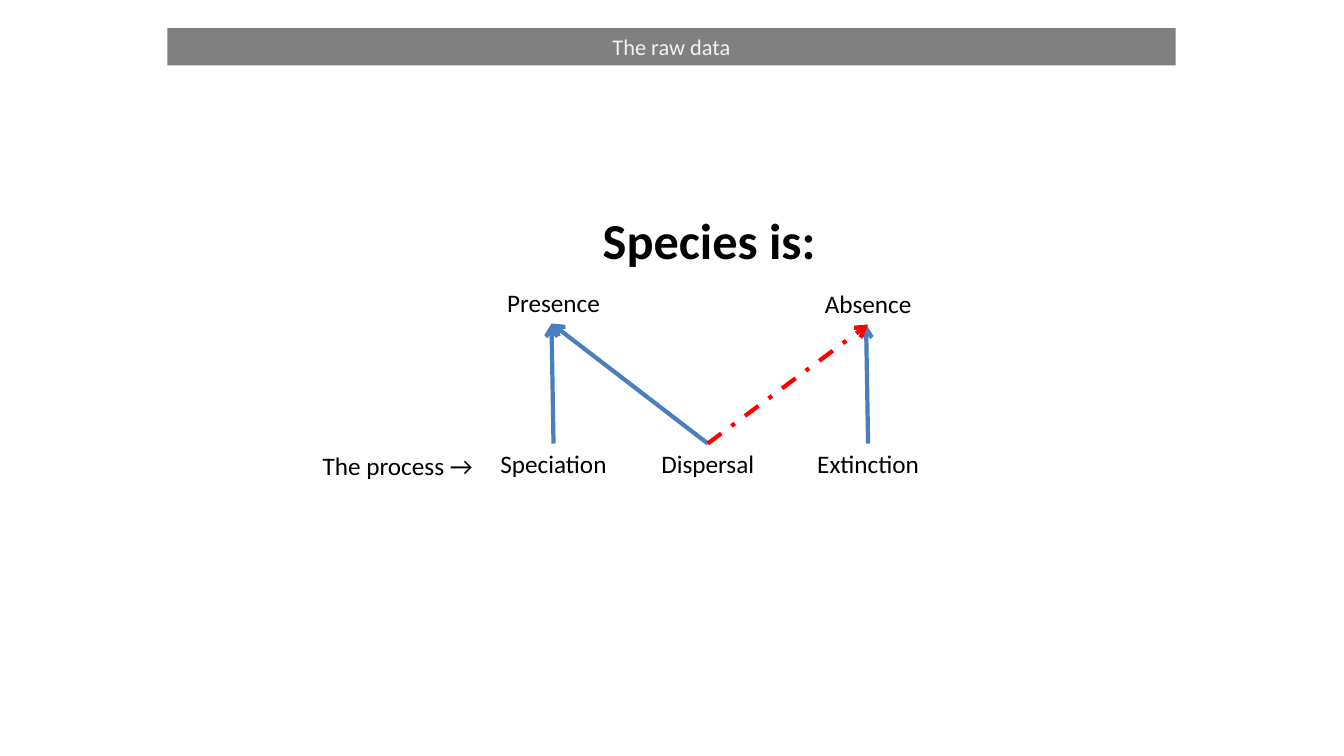
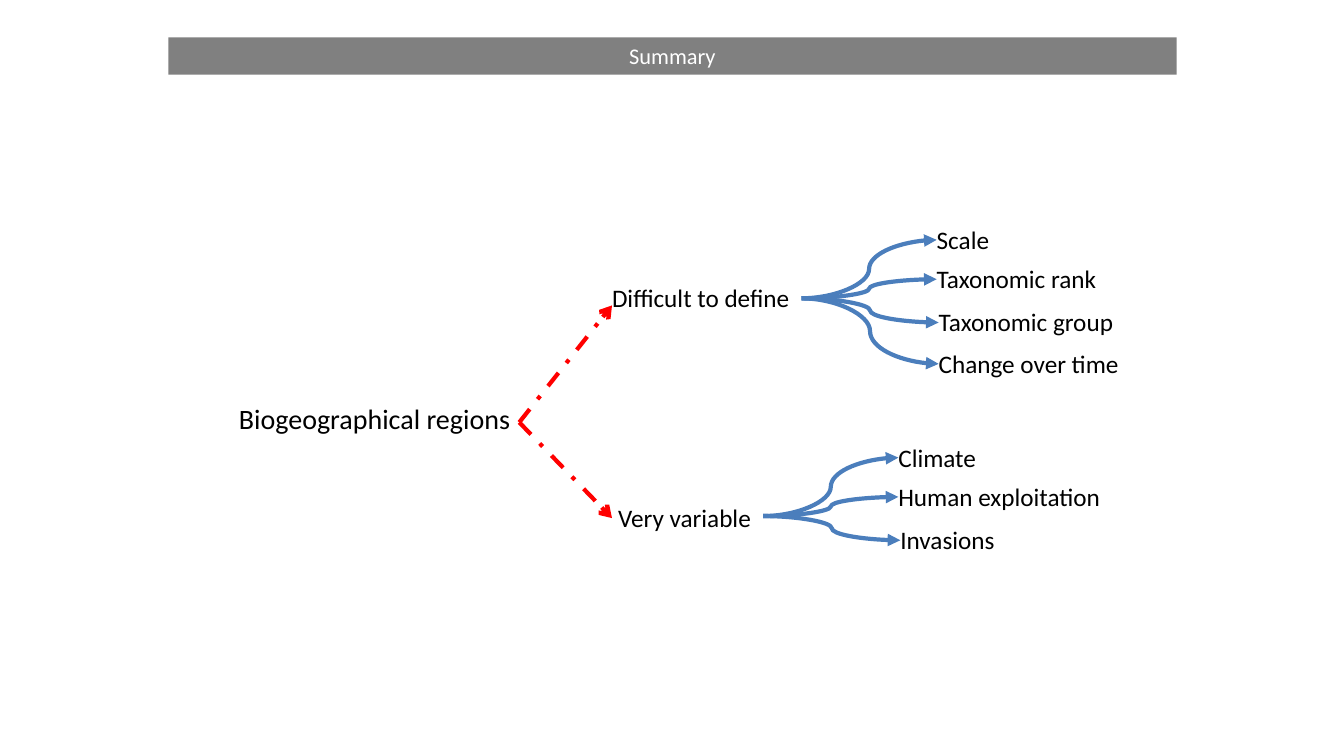
"""Build two slides on species processes and biogeographical regions."""
import pptx
import pptx.dml.color
import pptx.enum.dml
import pptx.enum.shapes
import pptx.enum.text
import pptx.oxml.ns
import pptx.util
from lxml import etree
from pptx.util import Inches

FONT = "Calibri"
BLACK, WHITE, PALE, GRAY = "000000", "FFFFFF", "F2F2F2", "808080"
BLUE, RED = "4B7EBC", "FF0000"
ALIGN = pptx.enum.text.PP_ALIGN
ANCHOR = pptx.enum.text.MSO_ANCHOR
CONNECTOR = pptx.enum.shapes.MSO_CONNECTOR
NODE_HEIGHT = 0.64
LEAF_OFFSETS = [(1.34, -0.58), (1.34, -0.19), (1.36, 0.24), (1.36, 0.65)]


def rgb(value):
    """Turn a hex string into a colour."""
    return pptx.dml.color.RGBColor.from_string(value)


def write(shape, text, size, color=BLACK, align=ALIGN.CENTER, bold=False):
    """Set the single paragraph of a shape and return it."""
    paragraph = shape.text_frame.paragraphs[0]
    paragraph.text = text
    paragraph.alignment = align
    font = paragraph.font
    font.name, font.size, font.bold = FONT, pptx.util.Pt(size), bold
    font.color.rgb = rgb(color)
    return paragraph


def add_band(slide, title, left, top, color):
    """Add the gray title band."""
    band = slide.shapes.add_shape(
        pptx.enum.shapes.MSO_SHAPE.RECTANGLE,
        Inches(left), Inches(top), Inches(10), Inches(0.37))
    band.shadow.inherit = False
    band.fill.solid()
    band.fill.fore_color.rgb = rgb(GRAY)
    band.line.fill.background()
    write(band, title, 16, color)


def add_label(slide, text, left, top, width, height=0.4, size=18,
              align=ALIGN.CENTER, anchor=ANCHOR.TOP, bold=False, wrap=False):
    """Add a text label with standard margins."""
    label = slide.shapes.add_textbox(
        Inches(left), Inches(top), Inches(width), Inches(height))
    label.text_frame.word_wrap = wrap
    label.text_frame.vertical_anchor = anchor
    write(label, text, size, align=align, bold=bold)


def add_node(slide, text, left, middle, width):
    """Add a tree node that starts at left and is centred on middle."""
    node = slide.shapes.add_textbox(
        Inches(left), Inches(middle - NODE_HEIGHT / 2),
        Inches(width), Inches(NODE_HEIGHT))
    frame = node.text_frame
    frame.word_wrap = True
    frame.vertical_anchor = ANCHOR.MIDDLE
    frame.margin_left = frame.margin_right = frame.margin_bottom = 0
    frame.margin_top = Inches(0.02)
    write(node, text, 18, align=ALIGN.LEFT).line_spacing = 0.93


def add_arrow(slide, start, end, color=BLUE, head="arrow", dashed=False,
              kind=CONNECTOR.STRAIGHT):
    """Add an arrow from start to end."""
    arrow = slide.shapes.add_connector(
        kind, *(Inches(value) for value in (*start, *end)))
    arrow.line.color.rgb = rgb(color)
    arrow.line.width = pptx.util.Pt(3)
    if dashed:
        arrow.line.dash_style = pptx.enum.dml.MSO_LINE.DASH_DOT
    qn = pptx.oxml.ns.qn
    properties = arrow._element.spPr
    etree.SubElement(properties.find(qn("a:ln")), qn("a:tailEnd"), type=head)
    etree.SubElement(properties, qn("a:effectLst"))


def add_branch(slide, root, leaves):
    """Fan curved arrows out from root to its leaf nodes."""
    for (text, width), (dx, dy) in zip(leaves, LEAF_OFFSETS):
        tip = (root[0] + dx, root[1] + dy)
        add_arrow(slide, root, tip, head="triangle", kind=CONNECTOR.CURVE)
        add_node(slide, text, *tip, width)


def build_raw_data(slide):
    """Show which processes lead to presence and absence."""
    add_band(slide, "The raw data", 1.66, 0.28, PALE)
    add_label(slide, "Species is:", 5.88, 2.03, 2.34, 0.71, size=36,
              align=ALIGN.LEFT, bold=True)
    add_label(slide, "Presence", 4.83, 2.8, 1.32, wrap=True)
    add_label(slide, "Absence", 7.95, 2.81, 1.32, wrap=True)
    add_label(slide, "The process →", 3.06, 4.42, 1.77)

    presence, absence = (5.47, 3.21), (8.59, 3.22)
    processes = [("Speciation", 5.49, 1.27, presence),
                 ("Dispersal", 7.02, 1.13, presence),
                 ("Extinction", 8.61, 1.22, absence)]
    for process, center, width, outcome in processes:
        add_label(slide, process, center - width / 2, 4.4, width)
        add_arrow(slide, (center, 4.4), outcome)
    add_arrow(slide, (7.02, 4.4), (8.61, 3.22), RED, dashed=True)


def build_summary(slide):
    """Show the tree of traits of biogeographical regions."""
    add_band(slide, "Summary", 1.67, 0.37, WHITE)
    add_label(slide, "Biogeographical regions", 1.63, 3.52, 3.53, 1.25,
              size=20, align=ALIGN.RIGHT, anchor=ANCHOR.MIDDLE, wrap=True)
    for tip in ((6.07, 3.03), (6.07, 5.14)):
        add_arrow(slide, (5.15, 4.19), tip, RED, dashed=True)

    add_node(slide, "Difficult to define", 6.07, 2.96, 1.88)
    add_branch(slide, (7.95, 2.96), [
        ("Scale", 0.88), ("Taxonomic rank", 1.86),
        ("Taxonomic group", 1.86), ("Change over time", 1.86)])
    add_node(slide, "Very variable", 6.13, 5.14, 1.88)
    add_branch(slide, (7.57, 5.12), [
        ("Climate", 0.88), ("Human exploitation", 2.43),
        ("Invasions", 1.86)])


def main():
    """Create and save the presentation."""
    deck = pptx.Presentation()
    deck.slide_width, deck.slide_height = Inches(13.33), Inches(7.5)
    for build in (build_raw_data, build_summary):
        build(deck.slides.add_slide(deck.slide_layouts[6]))
    deck.save("out.pptx")


if __name__ == "__main__":
    main()
